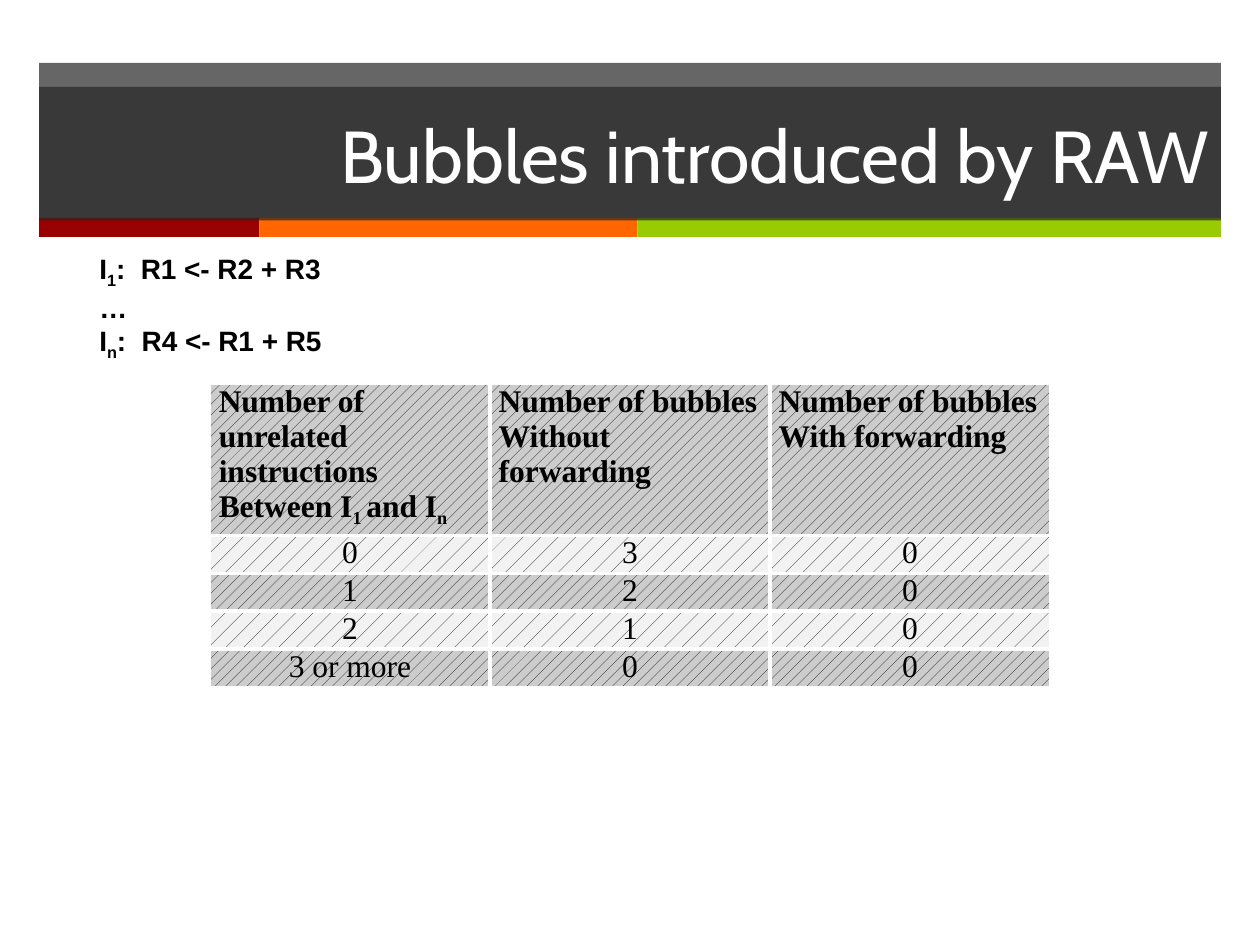
from lxml import etree
from pptx import Presentation
from pptx.dml.color import RGBColor
from pptx.enum.dml import MSO_PATTERN
from pptx.enum.shapes import MSO_SHAPE
from pptx.enum.text import MSO_ANCHOR, PP_ALIGN
from pptx.oxml.ns import qn
from pptx.util import Inches, Pt

RECTANGLE = MSO_SHAPE.RECTANGLE
LEFT, CENTER, RIGHT = PP_ALIGN.LEFT, PP_ALIGN.CENTER, PP_ALIGN.RIGHT
MIDDLE = MSO_ANCHOR.MIDDLE
DENSE, SPARSE = MSO_PATTERN.PERCENT_20, MSO_PATTERN.PERCENT_5

COLORS = {
    "banner": "262626", "red": "990000", "orange": "FF6600", "green": "99CC00",
    "ink": "000000", "white": "FFFFFF", "dark_row": "CCCCCC", "light_row": "F2F2F2",
}
TITLE = [["Bubbles introduced by RAW"]]
INSTRUCTIONS = [
    ["I", ("1",), ":  R1 <- R2 + R3"],
    ["…"],
    ["I", ("n",), ":  R4 <- R1 + R5"],
]
HEADINGS = [
    [["Number of unrelated instructions"], ["Between I", ("1 ",), "and I", ("n",)]],
    [["Number of bubbles"], ["Without forwarding"]],
    [["Number of bubbles"], ["With forwarding"]],
]
BUBBLES = [("0", "3", "0"), ("1", "2", "0"), ("2", "1", "0"), ("3 or more", "0", "0")]
STRIPES = [("red", 1.75), ("orange", 3), ("green", 4.63)]

FORMATS = {
    "title": {"name": "Cabin", "size": Pt(42), "bold": False},
    "code": {"name": "Arial", "size": Pt(16), "bold": True},
    "heading": {"name": "Times New Roman", "size": Pt(18), "bold": True},
    "value": {"name": "Times New Roman", "size": Pt(18), "bold": False},
}
MARGIN, BANNER_WIDTH = 0.31, 9.38
HEADING_HEIGHT, ROW_HEIGHT = 1.2, 0.3


def rgb(color):
    return RGBColor.from_string(COLORS[color])


def write(frame, lines, style, color="ink", align=LEFT):
    for index, line in enumerate(lines):
        paragraph = frame.paragraphs[0] if index == 0 else frame.add_paragraph()
        paragraph.alignment = align
        for piece in line:
            subscript = isinstance(piece, tuple)
            run = paragraph.add_run()
            run.text = piece[0] if subscript else piece
            for attribute, value in FORMATS[style].items():
                setattr(run.font, attribute, value)
            run.font.color.rgb = rgb(color)
            if subscript:
                run._r.get_or_add_rPr().set("baseline", "-25000")


def add_band(slide, left, top, width, height, color, opacity=100):
    band = slide.shapes.add_shape(RECTANGLE, *map(Inches, (left, top, width, height)))
    band.shadow.inherit = False
    band.fill.solid()
    band.fill.fore_color.rgb = rgb(color)
    band.line.fill.background()
    if opacity < 100:
        shade = band._element.spPr.find(".//" + qn("a:srgbClr"))
        etree.SubElement(shade, qn("a:alpha"), val=str(opacity * 1000))
    return band


def add_border(cell, side):
    border = etree.SubElement(cell._tc.get_or_add_tcPr(), qn("a:ln" + side), w=str(Pt(2.25)))
    fill = etree.SubElement(border, qn("a:solidFill"))
    etree.SubElement(fill, qn("a:srgbClr"), val=COLORS["white"])


def add_bubble_table(slide):
    rows = [HEADINGS] + [[[[value]] for value in row] for row in BUBBLES]
    last_row, last_column = len(rows) - 1, len(HEADINGS) - 1
    height = HEADING_HEIGHT + ROW_HEIGHT * len(BUBBLES)
    table = slide.shapes.add_table(
        len(rows), len(HEADINGS), Inches(10 / 6), Inches(3.05), Inches(10 * 2 / 3), Inches(height)
    ).table
    table.first_row = table.horz_banding = False
    for r, row in enumerate(rows):
        table.rows[r].height = Inches(ROW_HEIGHT if r else HEADING_HEIGHT)
        for c, lines in enumerate(row):
            cell = table.cell(r, c)
            margins = {"margin_left": 0.07, "margin_right": 0.07, "margin_top": 0, "margin_bottom": 0}
            for attribute, value in margins.items():
                setattr(cell, attribute, Inches(value))
            inner = {"L": c > 0, "R": c < last_column, "T": r > 0, "B": r < last_row}
            for side in filter(inner.get, inner):
                add_border(cell, side)
            cell.fill.patterned()
            cell.fill.pattern = SPARSE if r % 2 else DENSE
            cell.fill.fore_color.rgb = rgb("ink")
            cell.fill.back_color.rgb = rgb("light_row" if r % 2 else "dark_row")
            write(cell.text_frame, lines, "value" if r else "heading", align=CENTER if r else LEFT)


def main():
    deck = Presentation()
    deck.slide_width, deck.slide_height = Inches(10), Inches(7.5)
    slide = deck.slides.add_slide(deck.slide_layouts[6])

    add_band(slide, MARGIN, 0.5, BANNER_WIDTH, 1.24, "banner", 70)
    left = MARGIN
    for color, width in STRIPES:
        add_band(slide, left, 1.73, width, 0.15, color)
        left += width

    add_bubble_table(slide)

    instructions = slide.shapes.add_textbox(*map(Inches, (0.69, 1.95, 2.13, 0.91)))
    write(instructions.text_frame, INSTRUCTIONS, "code")

    title = add_band(slide, MARGIN, 0.69, BANNER_WIDTH, 1.06, "banner", 70)
    title.text_frame.word_wrap = True
    title.text_frame.vertical_anchor = MIDDLE
    write(title.text_frame, TITLE, "title", "white", RIGHT)

    deck.save("out.pptx")


if __name__ == "__main__":
    main()
